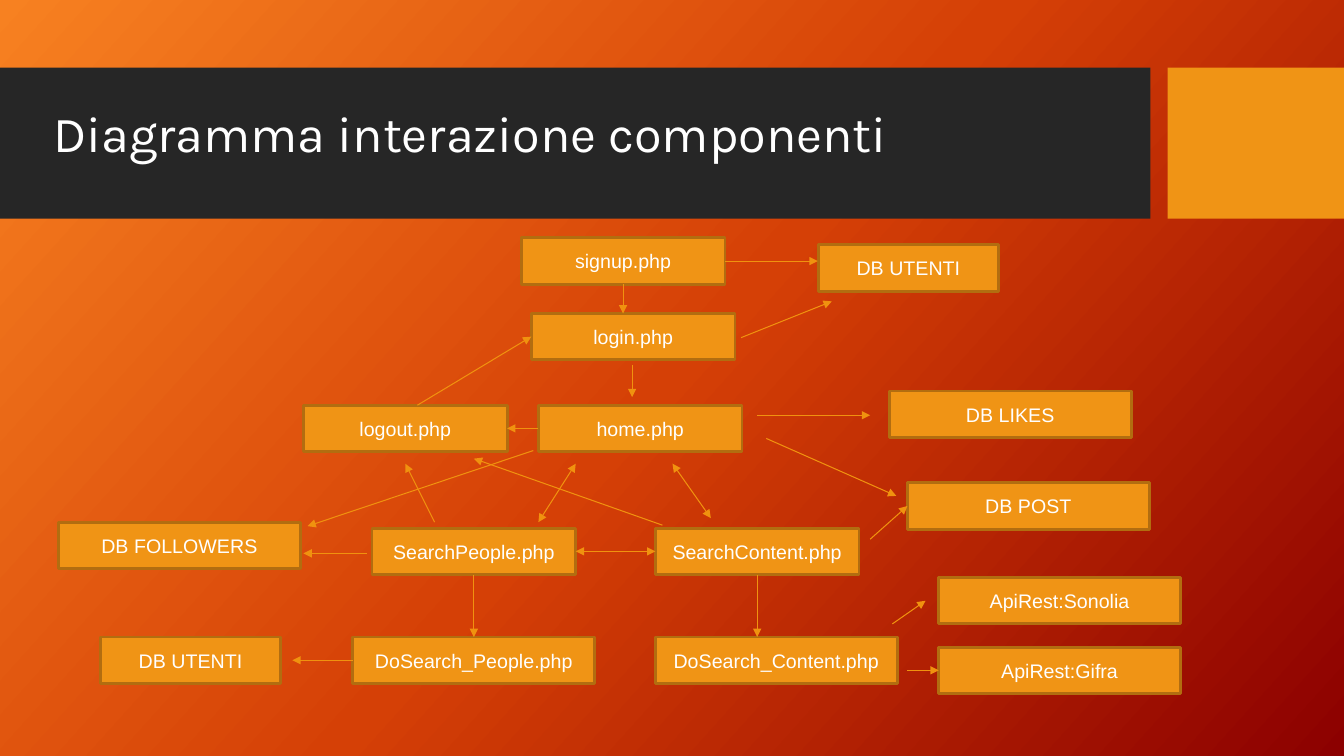
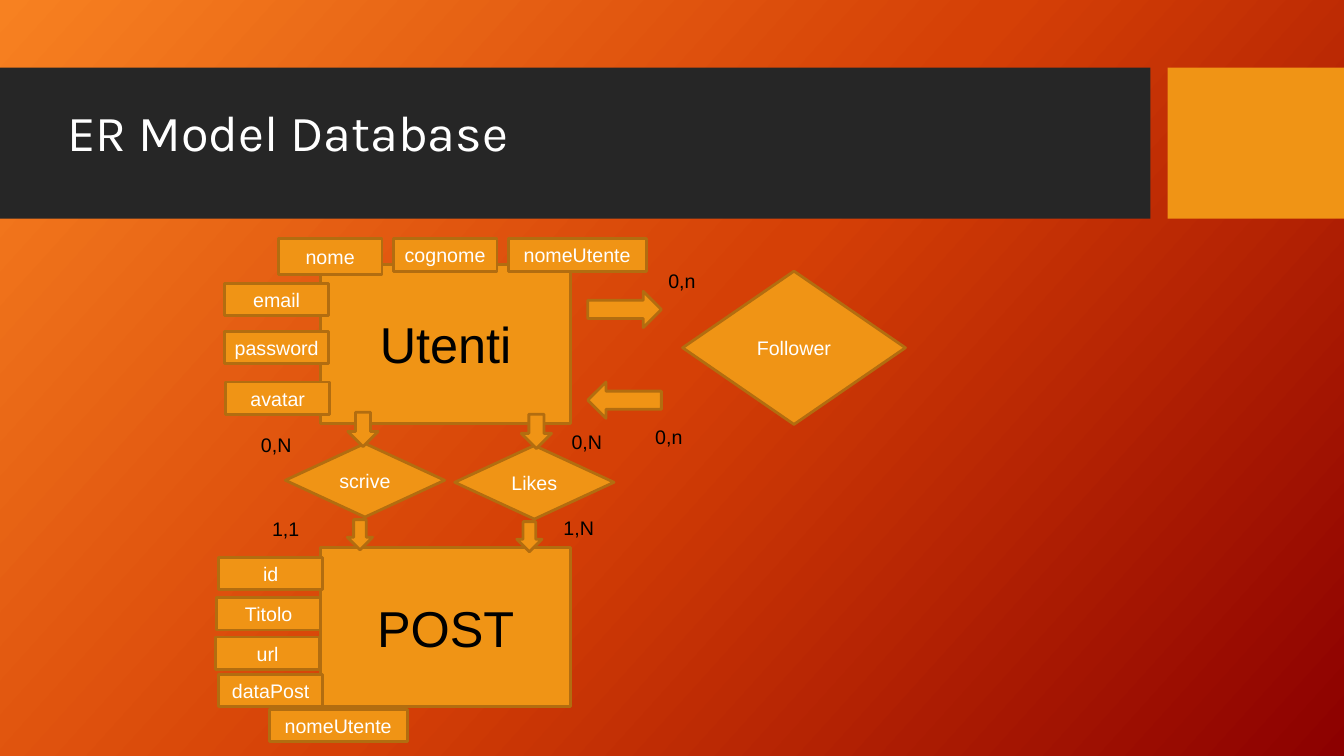
from lxml import etree
from copy import deepcopy
from pptx import Presentation
from pptx.dml.color import RGBColor
from pptx.enum import shapes, text
from pptx.oxml import ns
from pptx.util import Inches, Pt

DARK, ORANGE, EDGE, ARROW = "262626", "F09415", "B26D10", "F0920F"
WHITE, BLACK = "FFFFFF", "000000"
BACKGROUND = [(0, "F78121"), (0.5, "D54006"), (1, "8C0000")]
SHAPE = shapes.MSO_SHAPE
BOX_H = 0.46
TOP, LEFT, BOTTOM, RIGHT = range(4)


def rgb(value):
    return RGBColor.from_string(value)


def write(tf, content, size=14, font="Arial", color=WHITE,
          align=None, anchor=None, spacing=None):
    tf.word_wrap = True
    if anchor is not None:
        tf.vertical_anchor = anchor
    p = tf.paragraphs[0]
    p.alignment = align
    p.line_spacing = spacing
    r = p.add_run()
    r.text = content
    r.font.size, r.font.name = Pt(size), font
    r.font.color.rgb = rgb(color)


def add_box(s, x, y, w, h, content="", kind=SHAPE.RECTANGLE,
            fill=ORANGE, edge=EDGE, rotation=0, **style):
    sp = s.shapes.add_shape(kind, Inches(x), Inches(y), Inches(w), Inches(h))
    sp.shadow.inherit = False
    sp.rotation = rotation
    sp.fill.solid()
    sp.fill.fore_color.rgb = rgb(fill)
    if edge:
        sp.line.color.rgb = rgb(edge)
        sp.line.width = Pt(2)
    else:
        sp.line.fill.background()
    if content:
        tf = sp.text_frame
        tf.margin_left = tf.margin_right = Inches(0.03)
        write(tf, content, align=text.PP_ALIGN.CENTER,
              anchor=text.MSO_ANCHOR.MIDDLE, **style)
    return sp


def add_label(s, x, y, content, w=0.95, h=0.34, **style):
    sp = s.shapes.add_textbox(Inches(x), Inches(y), Inches(w), Inches(h))
    write(sp.text_frame, content, **style)


def set_background(master):
    fill = master.background.fill
    fill.gradient()
    fill.gradient_angle = 360 - 42
    stops = master.element.find(".//" + ns.qn("a:gsLst"))
    stops.append(deepcopy(stops[-1]))
    for stop, (position, color) in zip(fill.gradient_stops, BACKGROUND):
        stop.position = position
        stop.color.rgb = rgb(color)


def add_slide(prs, title, title_x, title_y):
    s = prs.slides.add_slide(prs.slide_layouts[6])
    add_box(s, 0, 0.67, 11.41, 1.5, fill=DARK, edge=None)
    add_box(s, 11.58, 0.67, 1.75, 1.5, edge=None)
    add_label(s, title_x, title_y, title, w=10.51, h=1.18, size=36,
              font="Karla", anchor=text.MSO_ANCHOR.MIDDLE, spacing=0.9)
    return s


def side_point(sp, side):
    """Middle of one side of a shape."""
    dx, dy = [(0.5, 0), (0, 0.5), (0.5, 1), (1, 0.5)][side]
    return int(sp.left + sp.width * dx), int(sp.top + sp.height * dy)


def add_arrow(s, x, y, boxes, start, end, both=False):
    """Each end is a point within the region, or a box name and side."""
    def locate(spot):
        if spot[0] in boxes:
            return side_point(boxes[spot[0]], spot[1])
        return Inches(x + spot[0]), Inches(y + spot[1])

    c = s.shapes.add_connector(shapes.MSO_CONNECTOR.STRAIGHT,
                               *locate(start), *locate(end))
    for spot, connect in ((start, c.begin_connect), (end, c.end_connect)):
        if spot[0] in boxes:
            connect(boxes[spot[0]], spot[1])
    c.line.color.rgb = rgb(ARROW)
    c.line.width = Pt(0.75)
    ln = c.line._get_or_add_ln()
    for tag in ["a:headEnd"] * both + ["a:tailEnd"]:
        etree.SubElement(ln, ns.qn(tag), type="triangle")
    etree.SubElement(c._element.spPr, ns.qn("a:effectLst"))


def component_diagram(s, x, y):
    # Boxes grouped by width: name, left, top
    groups = {
        2.02: [("signup.php", 4.59, 0), ("login.php", 4.69, 0.75),
               ("home.php", 4.76, 1.66), ("logout.php", 2.43, 1.66),
               ("SearchPeople.php", 3.11, 2.88),
               ("SearchContent.php", 5.92, 2.88)],
        2.4: [("DoSearch_People.php", 2.92, 3.96),
              ("DoSearch_Content.php", 5.92, 3.96),
              ("ApiRest:Sonolia", 8.73, 3.37), ("ApiRest:Gifra", 8.73, 4.06),
              ("DB POST", 8.42, 2.43), ("DB LIKES", 8.24, 1.52),
              ("DB FOLLOWERS", 0, 2.82)],
        1.78: [("DB UTENTI", 7.54, 0.07), ("DB UTENTI", 0.42, 3.96)],
    }
    boxes = {}
    for w, group in groups.items():
        for name, dx, dy in group:
            boxes[name] = add_box(s, x + dx, y + dy, w, BOX_H, name)

    # One-way arrows
    for start, end in [
        (("signup.php", RIGHT), (7.53, 0.23)),
        (("signup.php", BOTTOM), (5.6, 0.75)),
        ((6.77, 0.99), (7.67, 0.63)),
        ((5.69, 1.26), (5.69, 1.58)),
        (("home.php", LEFT), ("logout.php", RIGHT)),
        ((3.56, 1.66), ("login.php", LEFT)),
        ((6.93, 1.76), (8.05, 1.76)),
        ((7.02, 1.99), (8.31, 2.56)),
        ((4.71, 2.11), (2.47, 2.86)),
        ((3.73, 2.82), (3.44, 2.24)),
        ((5.99, 2.85), (4.12, 2.19)),
        ((3.06, 3.13), (2.43, 3.13)),
        ((8.05, 2.99), ("DB POST", LEFT)),
        (("SearchPeople.php", BOTTOM), ("DoSearch_People.php", TOP)),
        (("SearchContent.php", BOTTOM), (6.93, 3.96)),
        (("DoSearch_People.php", LEFT), (2.32, 4.19)),
        ((8.27, 3.83), (8.6, 3.6)),
        ((8.42, 4.29), ("ApiRest:Gifra", LEFT)),
    ]:
        add_arrow(s, x, y, boxes, start, end)

    # Two-way arrows
    for start, end in [
        ((4.76, 2.82), (5.13, 2.24)),
        ((6.47, 2.78), (6.09, 2.24)),
        (("SearchContent.php", LEFT), ("SearchPeople.php", RIGHT)),
    ]:
        add_arrow(s, x, y, boxes, start, end, both=True)


def entity(s, x, y, name, attributes):
    add_box(s, x, y, 2.48, 1.58, name, size=36, color=BLACK)
    for label, dx, dy in attributes:
        w = 1.37 if label == "nomeUtente" else 1.03
        h = 0.35 if label == "nome" else 0.32
        add_box(s, x + dx, y + dy, w, h, label)


def relation(s, x, y, name, arrow_dx, labels, w=1.58, h=0.73):
    """Diamond with an arrow above and below it."""
    add_box(s, x, y, w, h, name, SHAPE.FLOWCHART_DECISION)
    add_box(s, x + 0.59, y + 0.78, 0.3, 0.25, kind=SHAPE.RIGHT_ARROW, rotation=90)
    add_box(s, x + arrow_dx, y - 0.29, 0.34, 0.3, kind=SHAPE.RIGHT_ARROW, rotation=90)
    for label, dx, dy in labels:
        add_label(s, x + dx, y + dy, label, color=BLACK)


def follower_relation(s, x, y):
    add_box(s, x + 0.94, y, 2.21, 1.52, "Follower", SHAPE.FLOWCHART_DECISION)
    for dy, rotation in ((0.2, 0), (1.1, 180)):
        add_box(s, x, y + dy, 0.73, 0.36, kind=SHAPE.RIGHT_ARROW, rotation=rotation)
    for dx, dy in ((0.7, -0.07), (0.57, 1.48)):
        add_label(s, x + dx, y + dy, "0,n", color=BLACK)


def er_diagram(s, x, y):
    entity(s, x, y, "Utenti", [
        ("nome", -0.42, -0.25), ("cognome", 0.72, -0.25),
        ("nomeUtente", 1.86, -0.25), ("email", -0.95, 0.19),
        ("password", -0.95, 0.67), ("avatar", -0.94, 1.17)])
    entity(s, x, y + 2.81, "POST", [
        ("id", -1.01, 0.1), ("Titolo", -1.03, 0.5), ("url", -1.04, 0.89),
        ("dataPost", -1.01, 1.26), ("nomeUtente", -0.51, 1.61)])
    follower_relation(s, x + 2.65, y + 0.07)
    relation(s, x - 0.35, y + 1.78, "scrive", 0.6,
             [("0,N", -0.34, -0.15), ("1,1", -0.23, 0.68)])
    relation(s, x + 1.33, y + 1.8, "Likes", 0.64,
             [("0,N", 1.06, -0.2), ("1,N", 0.98, 0.65)])


def main():
    prs = Presentation()
    prs.slide_width, prs.slide_height = Inches(13.33), Inches(7.5)
    set_background(prs.slide_master)
    component_diagram(
        add_slide(prs, "Diagramma interazione componenti", 0.43, 0.76), 0.58, 2.36)
    er_diagram(add_slide(prs, "ER Model Database", 0.57, 0.75), 3.18, 2.62)
    prs.save("out.pptx")


if __name__ == "__main__":
    main()
